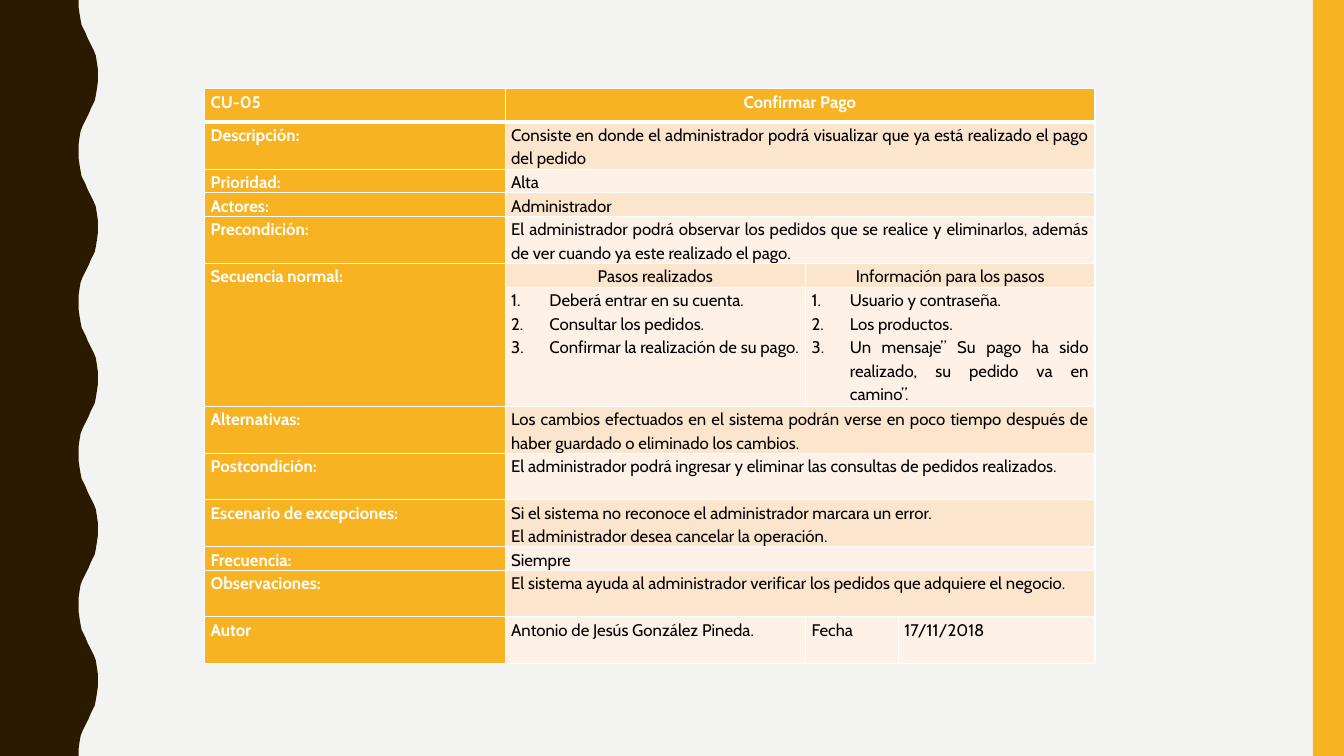
from dataclasses import dataclass
from lxml.etree import SubElement
from pptx import Presentation
from pptx.dml.color import RGBColor
from pptx.enum.shapes import MSO_SHAPE
from pptx.enum.text import PP_ALIGN
from pptx.oxml import parse_xml
from pptx.oxml.ns import nsdecls, qn
from pptx.util import Inches, Pt


@dataclass(frozen=True)
class Theme:
    paper: str = "F3F3F2"
    dark: str = "2A1A00"
    gold: str = "F8B323"
    bands: tuple = ("FEF2E8", "FCE5CD")
    white: str = "FFFFFF"
    ink: str = "000000"
    font: str = "Cabin"
    size: int = 12
    line: int = 1
    heavy: int = 3


THEME = Theme()
WIDTH, HEIGHT = 13.33, 7.5

# One crest of the wavy edge, top to bottom; the trough mirrors it
CREST = [(0.78, 0.07), (0.79, 0.14), (0.8, 0.2), (0.81, 0.25), (0.83, 0.29),
         (0.85, 0.33), (0.87, 0.38), (0.89, 0.42), (0.91, 0.46), (0.93, 0.5),
         (0.95, 0.55), (0.96, 0.61), (0.97, 0.68), (0.97, 0.75)]
HALF, MIRROR = 0.75, 1.75

COLS = [2.98, 2.98, 0.92, 1.95]
ONE, TWO, HEAD = 0.22, 0.46, 0.33
STEPS = "Deberá entrar en su cuenta.\nConsultar los pedidos.\nConfirmar la realización de su pago."
INFO = ("Usuario y contraseña.\nLos productos.\n"
        "Un mensaje” Su pago ha sido realizado, su pedido va en camino”.")

# Row height, label, then (first column, last column, text, format)
CENTER, LIST = {"align": PP_ALIGN.CENTER}, {"number": True}
ROWS = [
    (HEAD, "CU-05", [(1, 3, "Confirmar Pago", CENTER)]),
    (TWO, "Descripción:", [(1, 3, "Consiste en donde el administrador podrá visualizar que ya está "
                            "realizado el pago del pedido", {})]),
    (ONE, "Prioridad:", [(1, 3, "Alta", {})]),
    (ONE, "Actores:", [(1, 3, "Administrador", {})]),
    (TWO, "Precondición:", [(1, 3, "El administrador podrá observar los pedidos que se realice y "
                             "eliminarlos, además de ver cuando ya este realizado el pago.", {})]),
    (ONE, "Secuencia normal:", [(1, 1, "Pasos realizados", CENTER),
                                (2, 3, "Información para los pasos", CENTER)]),
    (1.18, None, [(1, 1, STEPS, LIST), (2, 3, INFO, LIST)]),
    (TWO, "Alternativas:", [(1, 3, "Los cambios efectuados en el sistema podrán verse en poco tiempo "
                             "después de haber guardado o eliminado los cambios.", {})]),
    (TWO, "Postcondición:", [(1, 3, "El administrador podrá ingresar y eliminar las consultas de "
                              "pedidos realizados.", {})]),
    (TWO, "Escenario de excepciones:", [
        (1, 3, "Si el sistema no reconoce el administrador marcara un error.\n"
         "El administrador desea cancelar la operación.", {})]),
    (ONE, "Frecuencia:", [(1, 3, "Siempre", {})]),
    (TWO, "Observaciones:", [(1, 3, "El sistema ayuda al administrador verificar los pedidos que "
                              "adquiere el negocio.", {})]),
    (TWO, "Autor", [(1, 1, "Antonio de Jesús González Pineda.", {}), (2, 2, "Fecha", {}),
                    (3, 3, "17/11/2018", {})]),
]


def paint(fill, color):
    fill.solid()
    fill.fore_color.rgb = RGBColor.from_string(color)


def write(frame, text, color=THEME.ink, bold=False, align=PP_ALIGN.JUSTIFY, number=False):
    for i, part in enumerate(text.split("\n")):
        para = frame.add_paragraph() if i else frame.paragraphs[0]
        para.alignment = align
        para.line_spacing = 1.15
        if number:
            props = para._p.get_or_add_pPr()
            props.set("marL", str(Inches(0.38)))
            props.set("indent", str(-Inches(0.38)))
            SubElement(props, qn("a:buAutoNum"), type="arabicPeriod")
        run = para.add_run()
        run.text = part
        run.font.name, run.font.size, run.font.bold = THEME.font, Pt(THEME.size), bold
        run.font.color.rgb = RGBColor.from_string(color)


def border(cell, top, bottom):
    props = cell._tc.get_or_add_tcPr()
    sides = {"L": THEME.line, "R": THEME.line, "T": top, "B": bottom}
    for i, (side, width) in enumerate(sides.items()):
        props.insert(i, parse_xml(
            f'<a:ln{side} {nsdecls("a")} w="{Pt(width)}"><a:solidFill>'
            f'<a:srgbClr val="{THEME.white}"/></a:solidFill></a:ln{side}>'))


def wave(slide, left, top, height):
    """Dark strip with a wavy right edge."""
    edge = [(0, 0), (0.78, 0)]
    for i in range(round(height / HALF)):
        edge += [(MIRROR - x if i % 2 else x, i * HALF + y) for x, y in CREST]
    edge.append((0, height))
    points = [(Inches(left + x), Inches(top + y)) for x, y in edge]
    form = slide.shapes.build_freeform(*points[0])
    form.add_line_segments(points[1:], close=True)
    strip = form.convert_to_shape()
    strip.shadow.inherit = False
    paint(strip.fill, THEME.dark)
    strip.line.fill.background()


def bar(slide, left, top, width, height):
    """Gold bar at the right."""
    box = slide.shapes.add_shape(MSO_SHAPE.RECTANGLE, Inches(left), Inches(top),
                                 Inches(width), Inches(height))
    box.shadow.inherit = False
    paint(box.fill, THEME.gold)
    box.line.fill.background()


def case(slide, left, top, width, height):
    """Use case table."""
    table = slide.shapes.add_table(len(ROWS), len(COLS), Inches(left), Inches(top),
                                   Inches(width), Inches(height)).table
    table.first_row = table.horz_banding = False
    for col, size in zip(table.columns, COLS):
        col.width = Inches(size)

    for r, (tall, label, parts) in enumerate(ROWS):
        table.rows[r].height = Inches(tall)
        # Fill and borders
        for c in range(len(COLS)):
            cell = table.cell(r, c)
            cell.margin_left = cell.margin_right = Inches(0.06)
            cell.margin_top = cell.margin_bottom = 0
            paint(cell.fill, THEME.gold if r == 0 or c == 0 else THEME.bands[r % 2])
            border(cell, THEME.heavy if r == 1 else THEME.line,
                   THEME.heavy if r == 0 else THEME.line)
        # Label; a row without one continues the label above
        if label:
            write(table.cell(r, 0).text_frame, label, color=THEME.white, bold=True)
        else:
            table.cell(r - 1, 0).merge(table.cell(r, 0))
        # Content
        for first, last, text, fmt in parts:
            cell = table.cell(r, first)
            if last > first:
                cell.merge(table.cell(r, last))
            write(cell.text_frame, text, color=THEME.ink if r else THEME.white,
                  bold=r == 0, **fmt)


def main():
    deck = Presentation()
    deck.slide_width, deck.slide_height = Inches(WIDTH), Inches(HEIGHT)
    slide = deck.slides.add_slide(deck.slide_layouts[6])
    paint(slide.background.fill, THEME.paper)
    wave(slide, 0, 0, HEIGHT)
    bar(slide, 13.02, 0, 0.31, HEIGHT)
    case(slide, 2.03, 0.88, sum(COLS), 5.63)
    deck.save("out.pptx")


if __name__ == "__main__":
    main()
